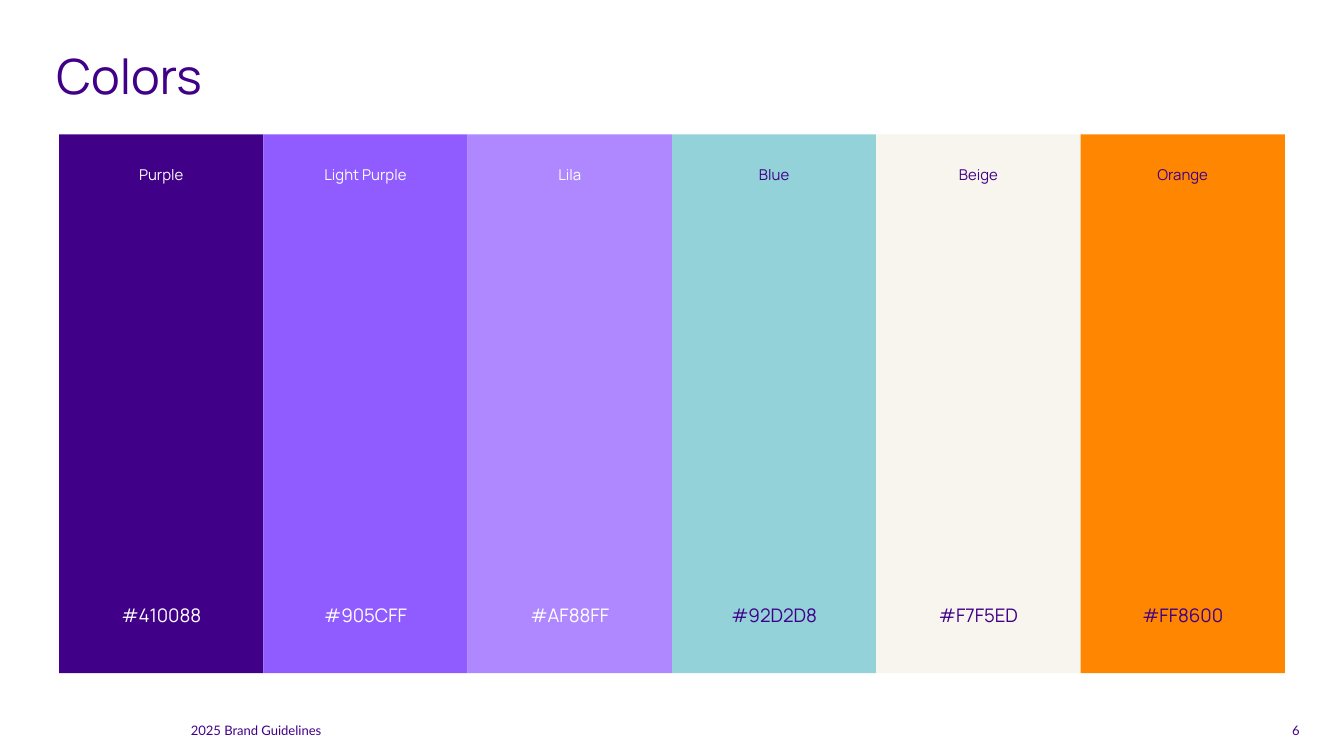
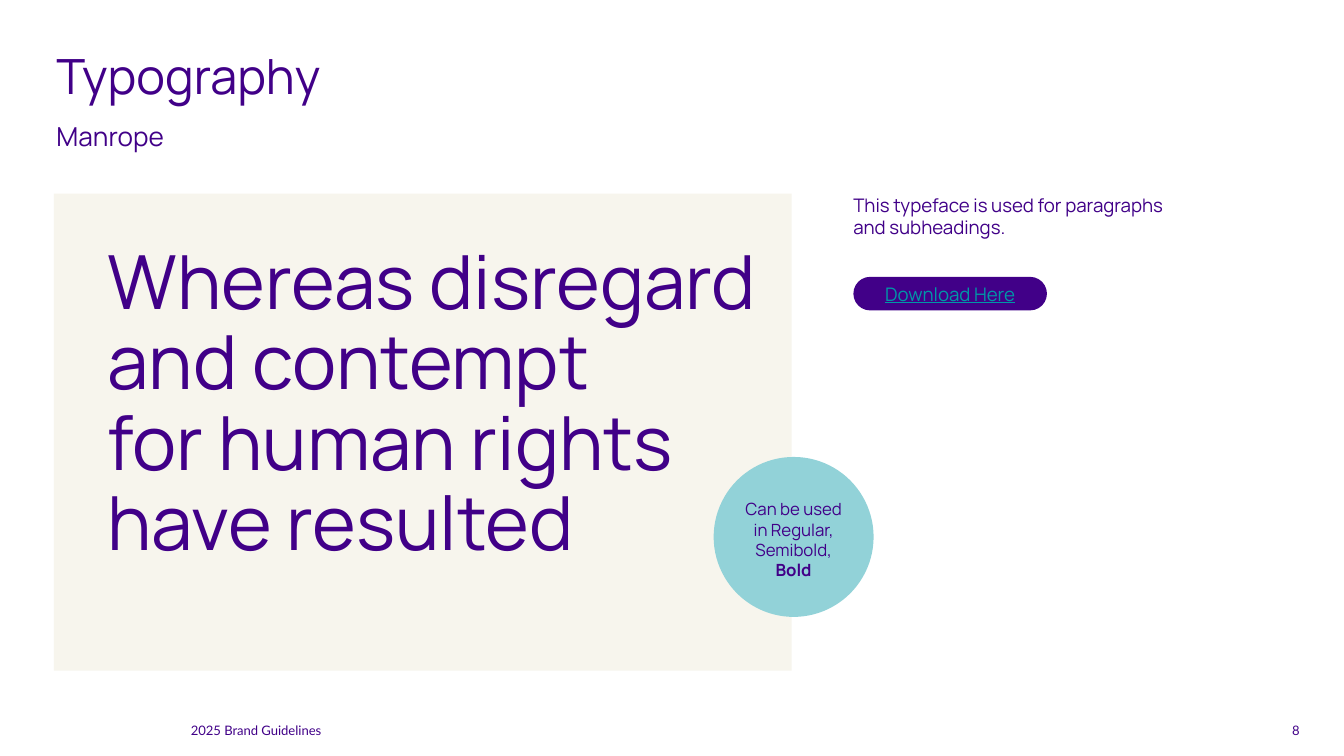
from pptx import Presentation
from pptx.dml.color import RGBColor
from pptx.enum.shapes import MSO_SHAPE
from pptx.enum.text import MSO_ANCHOR, MSO_AUTO_SIZE, PP_ALIGN
from pptx.util import Inches, Pt

PURPLE, BLUE, BEIGE = "410088", "92D2D8", "F7F5ED"
WHITE, LINK = "FFFFFF", "0097A7"
HEAD_FONT, FOOT_FONT = "Manrope", "Lato"
SLIDE_WIDTH = 10
SLIDE_HEIGHT = SLIDE_WIDTH * 9 / 16
SWATCH_WIDTH = 1.52
SWATCHES = [
    ("Purple", PURPLE, WHITE),
    ("Light Purple", "905CFF", WHITE),
    ("Lila", "AF88FF", WHITE),
    ("Blue", BLUE, PURPLE),
    ("Beige", BEIGE, PURPLE),
    ("Orange", "FF8600", PURPLE),
]


def rgb(color):
    return RGBColor.from_string(color)


def write(sp, text, size, color=PURPLE, font=HEAD_FONT, align=PP_ALIGN.LEFT,
          anchor=MSO_ANCHOR.TOP, spacing=None, insets=(0, 0, 0, 0)):
    """Fill a shape with one paragraph; insets are left, top, right, bottom."""
    tf = sp.text_frame
    tf.word_wrap = True
    tf.auto_size = MSO_AUTO_SIZE.NONE
    tf.vertical_anchor = anchor
    (tf.margin_left, tf.margin_top,
     tf.margin_right, tf.margin_bottom) = map(Inches, insets)
    p = tf.paragraphs[0]
    p.text = text
    p.alignment = align
    if spacing:
        p.line_spacing = spacing
    p.font.name = font
    p.font.size = Pt(size)
    p.font.color.rgb = rgb(color)
    return p


def add_text(s, box, text, size, **style):
    return write(s.shapes.add_textbox(*map(Inches, box)), text, size, **style)


def add_block(s, kind, box, fill):
    sp = s.shapes.add_shape(kind, *map(Inches, box))
    sp.shadow.inherit = False
    sp.fill.solid()
    sp.fill.fore_color.rgb = rgb(fill)
    sp.line.fill.background()
    return sp


def add_slide(prs, title, number):
    """Add a slide with the shared title, footer and page number."""
    s = prs.slides.add_slide(prs.slide_layouts[5])
    sp = s.shapes.title
    sp.left, sp.top, sp.width, sp.height = map(Inches, (0.42, 0.34, 7.21, 0.46))
    write(sp, title, 26)
    foot = dict(font=FOOT_FONT, anchor=MSO_ANCHOR.MIDDLE)
    add_text(s, (1.42, 5.35, 3.06, 0.17), "2025 Brand Guidelines", 7, **foot)
    add_text(s, (9.38, 5.35, 0.29, 0.17), str(number), 7,
             align=PP_ALIGN.RIGHT, **foot)
    return s


def add_swatch(s, left, name, fill, color):
    label = 0.95
    add_block(s, MSO_SHAPE.RECTANGLE, (left, 1, SWATCH_WIDTH, 4.01), fill)
    x = left + (SWATCH_WIDTH - label) / 2
    style = dict(color=color, align=PP_ALIGN.CENTER)
    add_text(s, (x, 1.23, label, 0.94), name, 8, **style)
    add_text(s, (x, 4.49, label, 0.33), f"#{fill}", 10, **style)


def build_colors(prs):
    s = add_slide(prs, "Colors", 6)
    for i, swatch in enumerate(SWATCHES):
        add_swatch(s, 0.44 + SWATCH_WIDTH * i, *swatch)


def build_typography(prs):
    s = add_slide(prs, "Typography", 8)
    add_text(s, (0.42, 0.86, 6.72, 0.34), "Manrope", 14, spacing=1.15)

    add_block(s, MSO_SHAPE.RECTANGLE, (0.4, 1.44, 5.49, 3.55), BEIGE)
    add_text(s, (0.8, 1.44, 4.91, 3.16),
             "Whereas disregard and contempt \vfor human rights have resulted",
             40, anchor=MSO_ANCHOR.MIDDLE, spacing=0.9)

    add_text(s, (6.35, 1.44, 2.43, 0.59),
             "This typeface is used for paragraphs and subheadings.", 10)

    centred = dict(align=PP_ALIGN.CENTER, anchor=MSO_ANCHOR.MIDDLE)
    badge = add_block(s, MSO_SHAPE.OVAL, (5.31, 3.4, 1.19, 1.19), BLUE)
    p = write(badge, "Can be used in Regular, Semibold, ", 9,
              insets=(0.02, 0.06, 0.02, 0.02), **centred)
    r = p.add_run()
    r.text = "Bold"
    r.font.bold = True

    button = add_block(s, MSO_SHAPE.ROUNDED_RECTANGLE,
                       (6.35, 2.06, 1.44, 0.25), PURPLE)
    button.adjustments[0] = 0.5
    p = write(button, "Download Here", 10, color=LINK, **centred)
    p.font.underline = True


def main():
    prs = Presentation()
    prs.slide_width = Inches(SLIDE_WIDTH)
    prs.slide_height = Inches(SLIDE_HEIGHT)
    build_colors(prs)
    build_typography(prs)
    prs.save("out.pptx")


if __name__ == "__main__":
    main()
